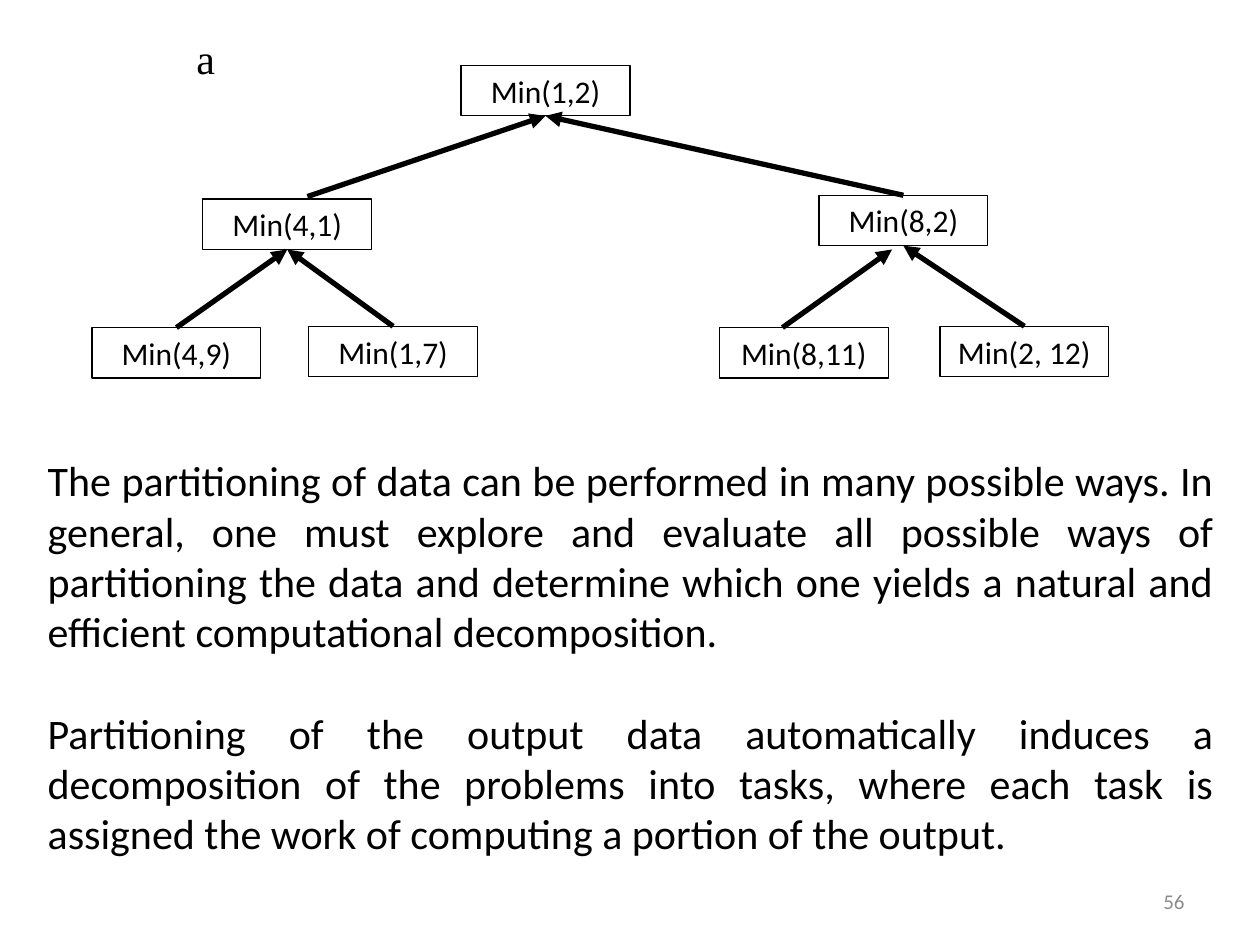
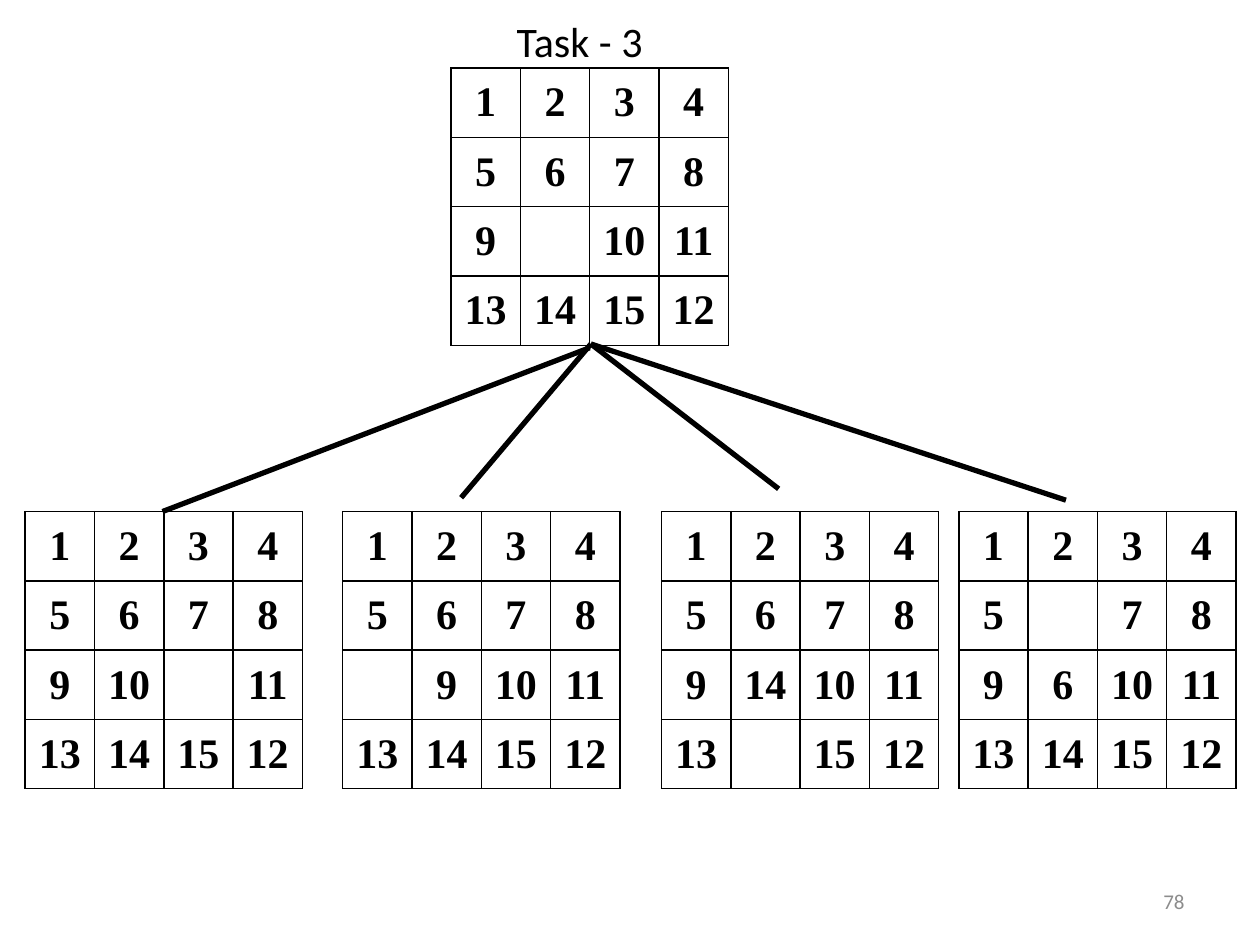
from lxml import etree
from pptx import Presentation
from pptx import util as u
from pptx.dml.color import RGBColor
from pptx.enum import shapes, text
from pptx.oxml import ns

# Shared style
COLORS = {"ink": "000000", "page": "8C8C8C"}
SANS, SERIF = "Calibri", "Times New Roman"
ALIGN, ANCHOR = text.PP_ALIGN, text.MSO_ANCHOR
TITLE_ONLY, BLANK = 5, 6

# Slide 1: reduction tree and two paragraphs
NODE_WIDTH, NODE_HEIGHT = 1.34, 0.4
NODES = {  # label: (left, top)
    "Min(1,2)": (3.66, 0.52),
    "Min(8,2)": (6.5, 1.55),
    "Min(4,1)": (1.61, 1.58),
    "Min(8,11)": (5.71, 2.6),
    "Min(1,7)": (2.45, 2.59),
    "Min(2, 12)": (7.46, 2.59),
    "Min(4,9)": (0.73, 2.6),
}
ARROWS = [  # child, parent, shift of the start, shift of the end
    ("Min(4,9)", "Min(4,1)", (0, 0), (0, 0)),
    ("Min(8,11)", "Min(8,2)", (-0.17, 0), (-0.09, 0.03)),
    ("Min(4,1)", "Min(1,2)", (0.16, -0.02), (0, 0)),
    ("Min(8,2)", "Min(1,2)", (0, 0), (0, 0)),
    ("Min(1,7)", "Min(4,1)", (0, 0), (0, 0)),
    ("Min(2, 12)", "Min(8,2)", (0, 0), (0, 0)),
]
PARTITIONING = [
    "The partitioning of data can be performed in many possible ways. In general, "
    "one must explore and evaluate all possible ways of partitioning the data and "
    "determine which one yields a natural and efficient computational decomposition.",
    "Partitioning of the output data automatically induces a decomposition of the "
    "problems into tasks, where each task is assigned the work of computing a "
    "portion of the output.",
]

# Slide 2: a sliding puzzle and the four boards one move away
SIDE, CELL = 4, 0.55
START_BOARD = ["1", "2", "3", "4",
               "5", "6", "7", "8",
               "9", "", "10", "11",
               "13", "14", "15", "12"]
START_PLACE = (3.58, 0.54)
NEXT_TOP = 4.06
MOVES = [  # tile moved into the gap, board left, branch start, branch end
    ("10", 0.2, (4.68, 2.76), (1.29, 4.06)),
    ("9", 2.72, (4.69, 2.73), (3.66, 3.95)),
    ("14", 5.25, (4.69, 2.73), (6.18, 3.88)),
    ("6", 7.61, (4.69, 2.73), (8.46, 3.97)),
]


def color(name):
    return RGBColor.from_string(COLORS[name])


def style(paragraph, size, font=SANS, align=ALIGN.LEFT, ink="ink", bold=False):
    paragraph.alignment = align
    paragraph.font.size = u.Pt(size)
    paragraph.font.name = font
    paragraph.font.bold = bold
    paragraph.font.color.rgb = color(ink)


def place(shape, left, top, width, height):
    shape.left, shape.top = u.Inches(left), u.Inches(top)
    shape.width, shape.height = u.Inches(width), u.Inches(height)


def write(shape, paragraphs, size, anchor=ANCHOR.TOP, gap=0, **look):
    frame = shape.text_frame
    frame.word_wrap = True
    frame.auto_size = text.MSO_AUTO_SIZE.NONE
    frame.vertical_anchor = anchor
    for index, words in enumerate(paragraphs):
        paragraph = frame.add_paragraph() if index else frame.paragraphs[0]
        paragraph.text = words
        if index:
            paragraph.space_before = u.Pt(gap)
        style(paragraph, size, **look)


def add_text(slide, box, paragraphs, size, **look):
    shape = slide.shapes.add_textbox(*map(u.Inches, box))
    write(shape, paragraphs, size, **look)


def add_page_number(slide, number):
    add_text(slide, (7.17, 6.95, 2.33, 0.4), [number], 12,
             anchor=ANCHOR.MIDDLE, align=ALIGN.RIGHT, ink="page")


def add_line(slide, start, end, arrow=False):
    line = slide.shapes.add_connector(
        shapes.MSO_CONNECTOR.STRAIGHT, *map(u.Inches, (*start, *end)))
    line.line.color.rgb = color("ink")
    line.line.width = u.Pt(3)
    if arrow:
        etree.SubElement(line.line._get_or_add_ln(), ns.qn("a:tailEnd"), type="triangle")
    etree.SubElement(line._element.spPr, ns.qn("a:effectLst"))


def add_node(slide, label, left, top):
    node = slide.shapes.add_shape(
        shapes.MSO_SHAPE.RECTANGLE,
        *map(u.Inches, (left, top, NODE_WIDTH, NODE_HEIGHT)))
    node.shadow.inherit = False
    node.fill.background()
    node.line.color.rgb = color("ink")
    node.line.width = u.Pt(0.75)
    write(node, [label], 18, align=ALIGN.CENTER)


def shifted(point, shift):
    return point[0] + shift[0], point[1] + shift[1]


def add_borders(cell):
    properties = cell._tc.get_or_add_tcPr()
    for index, edge in enumerate(("lnL", "lnR", "lnT", "lnB")):
        border = etree.Element(ns.qn(f"a:{edge}"), w=str(u.Pt(1)))
        fill = etree.SubElement(border, ns.qn("a:solidFill"))
        etree.SubElement(fill, ns.qn("a:srgbClr"), val=COLORS["ink"])
        properties.insert(index, border)


def add_board(slide, board, left, top):
    size = SIDE * CELL
    table = slide.shapes.add_table(
        SIDE, SIDE, *map(u.Inches, (left, top, size, size))).table
    table.first_row = table.horz_banding = False
    for line in (*table.rows, *table.columns):
        if hasattr(line, "height"):
            line.height = u.Inches(CELL)
        else:
            line.width = u.Inches(CELL)
    for cell, tile in zip(table.iter_cells(), board):
        cell.margin_left = cell.margin_right = u.Inches(0.05)
        cell.vertical_anchor = ANCHOR.MIDDLE
        cell.fill.background()
        add_borders(cell)
        paragraph = cell.text_frame.paragraphs[0]
        if tile:
            paragraph.text = tile
        style(paragraph, 24, SERIF, ALIGN.CENTER, bold=True)


def after_move(board, tile):
    swap = {tile: "", "": tile}
    return [swap.get(value, value) for value in board]


def build_tree_slide(presentation):
    slide = presentation.slides.add_slide(presentation.slide_layouts[BLANK])
    add_text(slide, (0.28, 3.56, 9.45, 3.33), PARTITIONING, 24,
             gap=29, align=ALIGN.JUSTIFY)
    add_page_number(slide, "56")
    add_text(slide, (1.46, 0.21, 7.48, 0.5), ["a"], 24, font=SERIF)
    for label, (left, top) in NODES.items():
        add_node(slide, label, left, top)
    # Arrows run from the top centre of a child to the bottom centre of its parent
    for child, parent, start_shift, end_shift in ARROWS:
        start = shifted(NODES[child], (NODE_WIDTH / 2, 0))
        end = shifted(NODES[parent], (NODE_WIDTH / 2, NODE_HEIGHT))
        add_line(slide, shifted(start, start_shift), shifted(end, end_shift), arrow=True)


def build_puzzle_slide(presentation):
    slide = presentation.slides.add_slide(presentation.slide_layouts[TITLE_ONLY])
    title = slide.shapes.title
    place(title, 3.74, 0.07, 1.72, 0.5)
    write(title, ["Task - 3"], 24, align=ALIGN.CENTER)
    add_page_number(slide, "78")
    add_board(slide, START_BOARD, *START_PLACE)
    for tile, left, start, end in MOVES:
        add_board(slide, after_move(START_BOARD, tile), left, NEXT_TOP)
        add_line(slide, start, end)


def main():
    presentation = Presentation()
    presentation.slide_width, presentation.slide_height = u.Inches(10), u.Inches(7.5)
    build_tree_slide(presentation)
    build_puzzle_slide(presentation)
    presentation.save("out.pptx")


if __name__ == "__main__":
    main()
